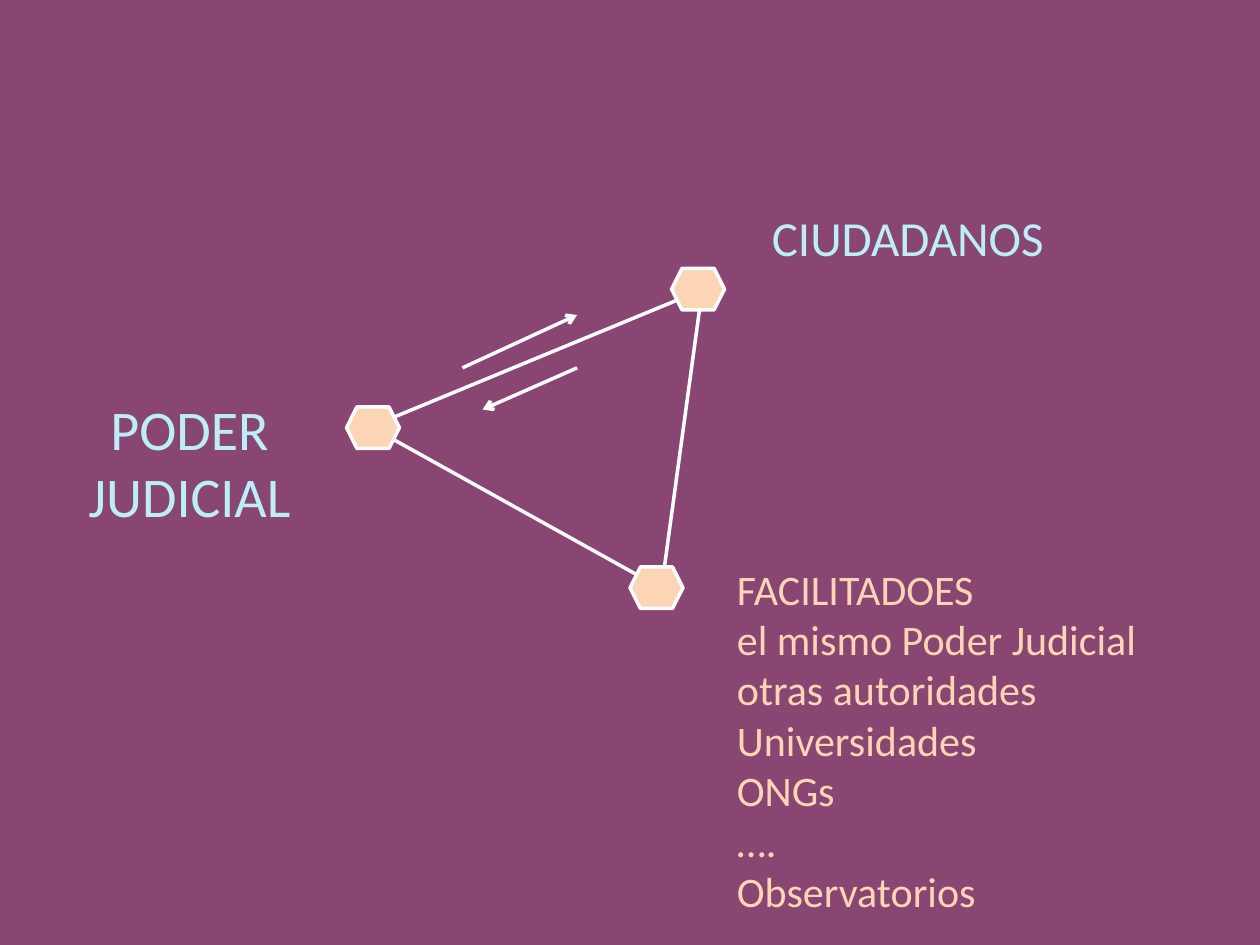
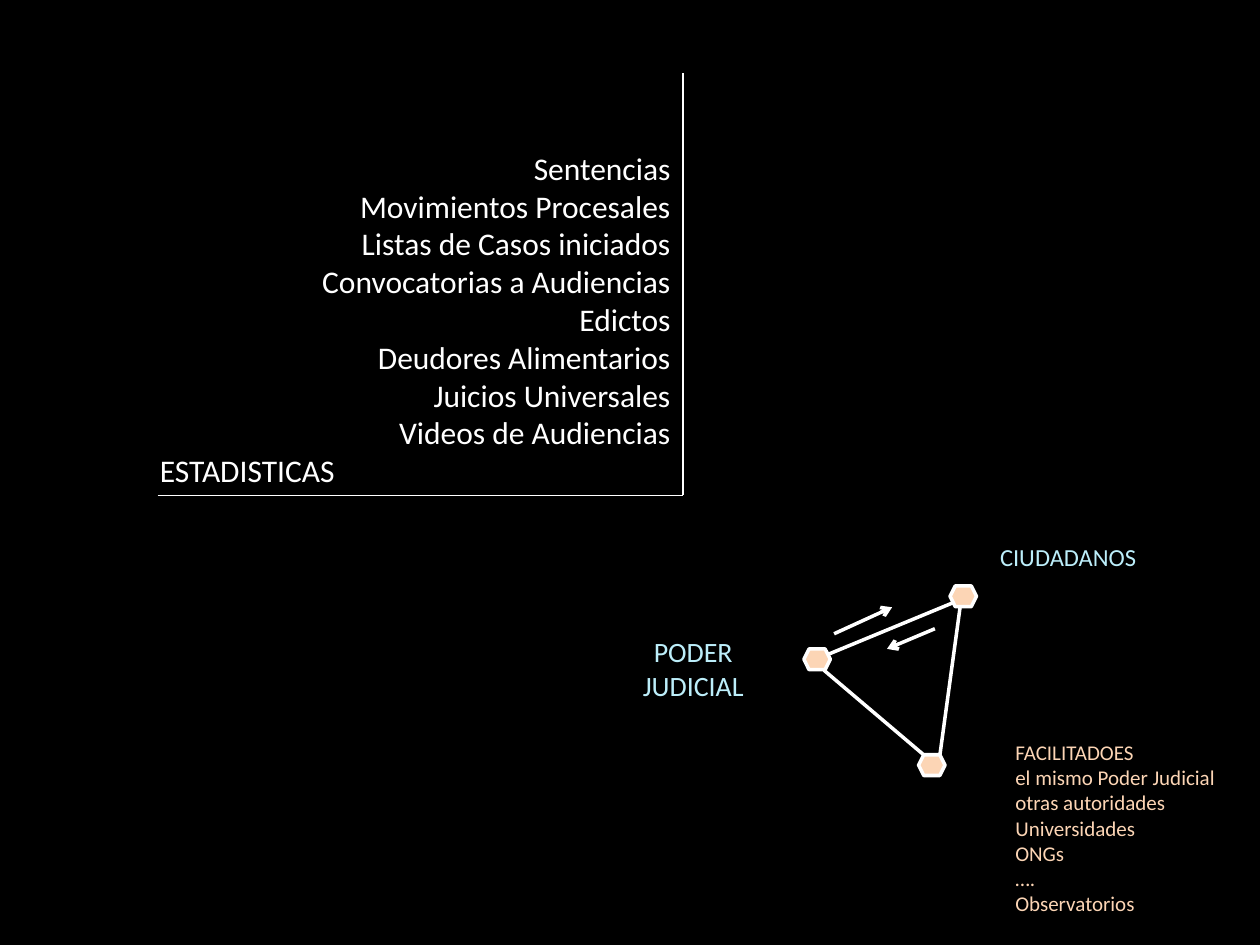
import pptx
import pptx.util
import pptx.dml.color
import pptx.enum.shapes
import pptx.enum.text
from lxml import etree
from pptx.oxml.ns import qn

Inches = pptx.util.Inches
ALIGN = pptx.enum.text.PP_ALIGN
ANCHOR = pptx.enum.text.MSO_ANCHOR

# Content
COLOURS = {
    "plum": "8A4673",
    "black": "000000",
    "white": "FFFFFF",
    "peach": "FCD5B5",
    "ice": "BCEEFA",
}
FONT = "Calibri"

JUDICIARY = ["PODER", "JUDICIAL"]
CITIZENS = ["CIUDADANOS"]
FACILITATORS = ["FACILITADOES", "el mismo Poder Judicial",
                "otras autoridades\nUniversidades", "ONGs", "….", "Observatorios"]
PUBLISHED = ["Sentencias", "Movimientos Procesales", "Listas de Casos iniciados",
             "Convocatorias a Audiencias", "Edictos", "Deudores Alimentarios",
             "Juicios Universales", "Videos de Audiencias"]
STATISTICS = "ESTADISTICAS"

# Each label of the triangle: lines, full width and height, full size, colour, alignment
LABELS = {
    "judiciary": (JUDICIARY, 2.17, 1.18, 32, "ice", ALIGN.CENTER),
    "citizens": (CITIZENS, 2.75, 0.57, 28, "ice", ALIGN.CENTER),
    "facilitators": (FACILITATORS, 3.75, 2.93, 24, "peach", ALIGN.LEFT),
}
NODE_SIZE = (0.42, 0.33)

# Places of the triangle, full size and half size
FULL_TRIANGLE = {
    "scale": 1,
    "edges": [(5.25, 4.67, 3, 3.42), (5.25, 4.67, 5.58, 2.25), (5.5, 2.33, 3.08, 3.33)],
    "nodes": [(5.33, 2.13), (2.75, 3.23), (5, 4.5)],
    "labels": {"judiciary": (0.42, 3.08), "citizens": (5.83, 1.6),
               "facilitators": (5.75, 4.42)},
    "arrows": [(3.67, 2.92, 4.58, 2.5), (4.58, 2.92, 3.83, 3.25)],
}
HALF_TRIANGLE = {
    "scale": 0.5,
    "edges": [(7.33, 5.99, 6.54, 5.32), (7.46, 5.99, 7.62, 4.82), (7.67, 4.74, 6.46, 5.24)],
    "nodes": [(7.54, 4.65), (6.38, 5.15), (7.29, 5.99)],
    "labels": {"judiciary": (4.96, 4.99), "citizens": (7.79, 4.25),
               "facilitators": (7.96, 5.82)},
    "arrows": [(6.62, 5.03, 7.08, 4.82), (7.42, 4.99, 7.04, 5.15)],
}

# List of published information, framed at the right and bottom
LIST_BOX = (1.17, 0.5, 4.25, 3.43)
FRAME_LEFT, FRAME_TOP = 1.25, 0.58


def rgb(name):
    return pptx.dml.color.RGBColor.from_string(COLOURS[name])


def add_slide(deck, background):
    slide = deck.slides.add_slide(deck.slide_layouts[6])
    fill = slide.background.fill
    fill.solid()
    fill.fore_color.rgb = rgb(background)
    return slide


def add_line(slide, ends, width=2, arrow=False):
    line = slide.shapes.add_connector(
        pptx.enum.shapes.MSO_CONNECTOR.STRAIGHT, *map(Inches, ends))
    line.line.color.rgb = rgb("white")
    line.line.width = pptx.util.Pt(width)
    if arrow:
        etree.SubElement(line.line._get_or_add_ln(), qn("a:tailEnd"), type="arrow")
    etree.SubElement(line._element.spPr, qn("a:effectLst"))


def add_node(slide, corner, scale):
    size = [side * scale for side in NODE_SIZE]
    node = slide.shapes.add_shape(
        pptx.enum.shapes.MSO_SHAPE.HEXAGON, *map(Inches, (*corner, *size)))
    node.shadow.inherit = False
    node.fill.solid()
    node.fill.fore_color.rgb = rgb("peach")
    node.line.color.rgb = rgb("white")
    node.line.width = pptx.util.Pt(2)


def add_text(slide, box, paragraphs, size, colour, anchor=ANCHOR.TOP):
    """Write (text, alignment) pairs; a newline in a text is a line break."""
    frame = slide.shapes.add_textbox(*map(Inches, box)).text_frame
    frame.word_wrap = True
    frame.vertical_anchor = anchor
    for index, (text, alignment) in enumerate(paragraphs):
        paragraph = frame.add_paragraph() if index else frame.paragraphs[0]
        paragraph.alignment = alignment
        for part, words in enumerate(text.split("\n")):
            if part:
                paragraph.add_line_break()
            run = paragraph.add_run()
            run.text = words
            run.font.name = FONT
            run.font.size = pptx.util.Pt(size)
            run.font.color.rgb = rgb(colour)


def add_triangle(slide, triangle):
    scale = triangle["scale"]
    for ends in triangle["edges"]:
        add_line(slide, ends)
    for corner in triangle["nodes"]:
        add_node(slide, corner, scale)
    for name, corner in triangle["labels"].items():
        lines, width, height, size, colour, alignment = LABELS[name]
        add_text(slide, (*corner, width * scale, height * scale),
                 [(line, alignment) for line in lines], size * scale, colour)
    for ends in triangle["arrows"]:
        add_line(slide, ends, arrow=True)


def add_published_list(slide):
    left, top, width, height = LIST_BOX
    right, bottom = left + width, top + height
    paragraphs = [(entry, ALIGN.RIGHT) for entry in PUBLISHED]
    paragraphs.append((STATISTICS, ALIGN.LEFT))
    add_text(slide, LIST_BOX, paragraphs, 18, "white", ANCHOR.BOTTOM)
    add_line(slide, (right, FRAME_TOP, right, bottom), 0.75)
    add_line(slide, (FRAME_LEFT, bottom, right, bottom), 0.75)


def main():
    deck = pptx.Presentation()
    deck.slide_width, deck.slide_height = Inches(10), Inches(7.5)

    # Slide 1: the triangle of actors
    add_triangle(add_slide(deck, "plum"), FULL_TRIANGLE)

    # Slide 2: the published information beside a small triangle
    published = add_slide(deck, "black")
    add_triangle(published, HALF_TRIANGLE)
    add_published_list(published)

    deck.save("out.pptx")


if __name__ == "__main__":
    main()
